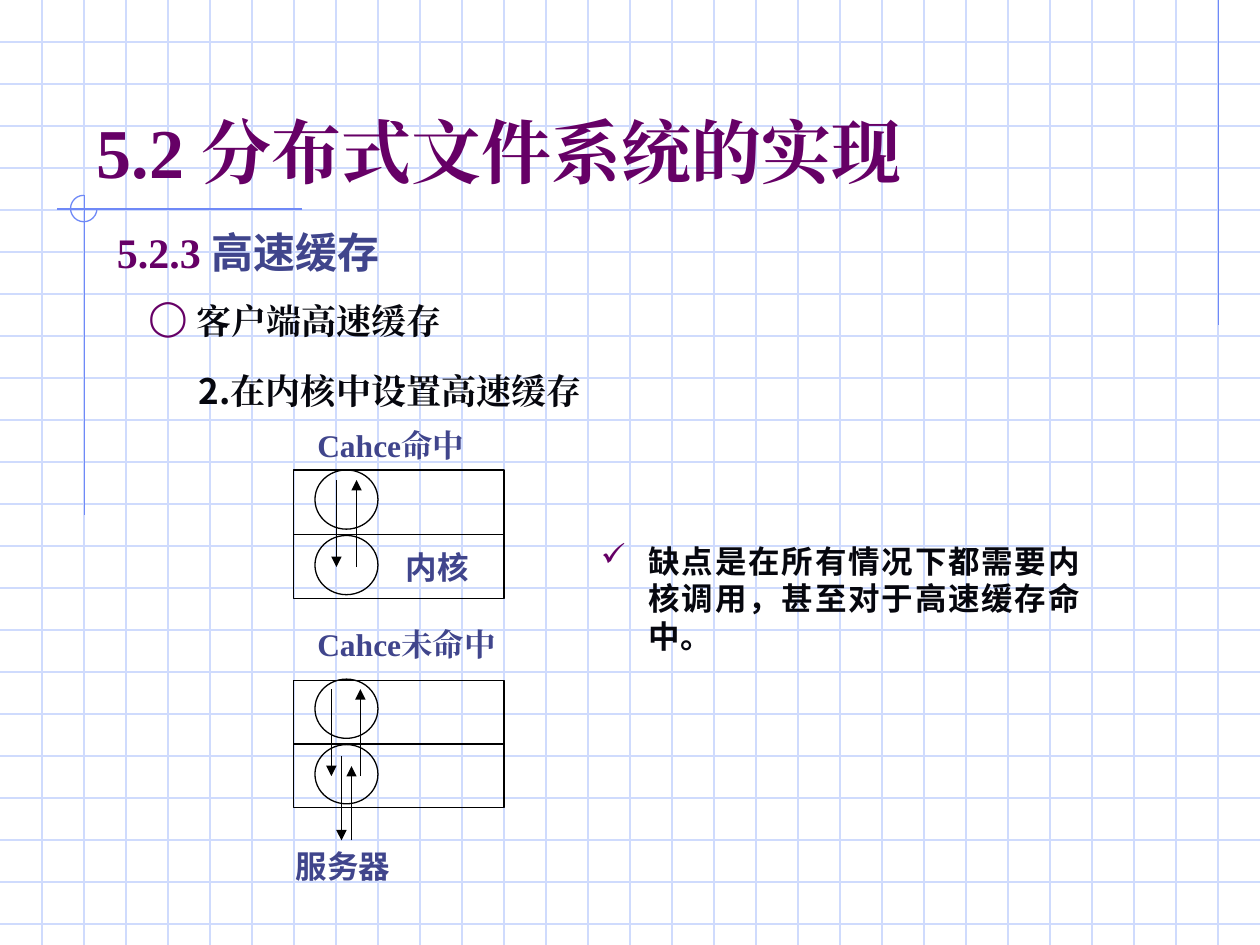
from dataclasses import dataclass
from typing import Any

from lxml import etree
from pptx import Presentation
from pptx import util as u
from pptx.dml.color import RGBColor
from pptx.enum import shapes, text
from pptx.oxml import ns

PURPLE = RGBColor(0x66, 0x00, 0x66)
INDIGO = RGBColor(0x40, 0x45, 0x8C)
INK = RGBColor(0x06, 0x07, 0x0E)
BLACK = RGBColor(0x00, 0x00, 0x00)
GRID = RGBColor(0xCF, 0xDB, 0xFD)
ACCENT = RGBColor(0x6F, 0x89, 0xF7)
SERIF, SANS, CJK = "Times New Roman", "Montserrat", "Noto Sans CJK SC"
JUSTIFY = text.PP_ALIGN.JUSTIFY


def add_run(paragraph, wording, size=18, font=SANS, color=INDIGO, bold=True):
    run = paragraph.add_run()
    run.text = wording
    run.font.size = u.Pt(size)
    run.font.name = font
    run.font.bold = bold
    run.font.color.rgb = color
    east_asian = etree.SubElement(run.font._element, ns.qn("a:ea"))
    east_asian.set("typeface", SERIF if font == CJK else font)


@dataclass
class Board:
    slide: Any
    weight: float = 0.75
    hanging: float = 0.38

    def line(self, x1, y1, x2, y2, color=BLACK, arrow=False):
        stroke = self.slide.shapes.add_connector(
            shapes.MSO_CONNECTOR.STRAIGHT,
            u.Inches(x1), u.Inches(y1), u.Inches(x2), u.Inches(y2))
        stroke.line.color.rgb = color
        stroke.line.width = u.Pt(self.weight)
        if arrow:
            head = etree.SubElement(stroke.line._get_or_add_ln(), ns.qn("a:tailEnd"))
            head.set("type", "triangle")
        etree.SubElement(stroke._element.spPr, ns.qn("a:effectLst"))

    def outline(self, preset, left, top, width, height, color=BLACK):
        figure = self.slide.shapes.add_shape(
            preset, u.Inches(left), u.Inches(top), u.Inches(width), u.Inches(height))
        figure.shadow.inherit = False
        figure.fill.background()
        figure.line.color.rgb = color
        figure.line.width = u.Pt(self.weight)
        return figure

    def label(self, left, top, width, height, *runs, bullet=None, align=None,
              anchor=text.MSO_ANCHOR.TOP):
        frame = self.slide.shapes.add_textbox(
            u.Inches(left), u.Inches(top), u.Inches(width), u.Inches(height)).text_frame
        frame.word_wrap = True
        frame.vertical_anchor = anchor
        paragraph = frame.paragraphs[0]
        paragraph.alignment = align
        if bullet:
            self.bullet(paragraph, bullet)
        for wording, style in runs:
            add_run(paragraph, wording, **style)

    def bullet(self, paragraph, mark):
        props = paragraph._p.get_or_add_pPr()
        props.set("marL", str(u.Inches(self.hanging)))
        props.set("indent", str(-u.Inches(self.hanging)))
        tint = etree.SubElement(props, ns.qn("a:buClr"))
        etree.SubElement(tint, ns.qn("a:srgbClr")).set("val", str(PURPLE))
        etree.SubElement(props, ns.qn("a:buChar")).set("char", mark)

    def cache_panel(self, levels, circle_tops, arrows):
        layers = [self.outline(shapes.MSO_SHAPE.RECTANGLE, 2.33, top, 1.67, 0.51)
                  for top in levels]
        for top in circle_tops:
            self.outline(shapes.MSO_SHAPE.OVAL, 2.5, top, 0.5, 0.47)
        for x, start, end in arrows:
            self.line(x, start, x, end, arrow=True)
        return layers

    def backdrop(self):
        for row in range(1, 23):
            self.line(0, row / 3, 10, row / 3, GRID)
        for column in range(1, 30):
            self.line(column / 3, 0, column / 3, 7.5, GRID)
        for ends in ((9.67, 0, 9.67, 2.58), (2.4, 1.66, 0.45, 1.66),
                     (0.67, 1.55, 0.67, 4.09)):
            self.line(*ends, ACCENT)
        hook = self.outline(shapes.MSO_SHAPE.ARC, 0.56, 1.55, 0.21, 0.21, ACCENT)
        hook.adjustments[0] = 0
        hook.adjustments[1] = 162


def main():
    deck = Presentation()
    deck.slide_width, deck.slide_height = u.Inches(10), u.Inches(7.5)
    board = Board(deck.slides.add_slide(deck.slide_layouts[6]))
    board.backdrop()

    board.label(0.67, 0.33, 8.5, 1.25,
                ("5.2 ", dict(size=40, font=SERIF, color=PURPLE)),
                ("分布式文件系统的实现", dict(size=40, font=CJK, color=PURPLE)),
                anchor=text.MSO_ANCHOR.BOTTOM)
    board.label(0.83, 1.75, 8.75, 0.5,
                ("5.2.3 ", dict(size=24, font=SERIF, color=PURPLE)),
                ("高速缓存", dict(size=24)), align=JUSTIFY)
    board.label(1.08, 2.33, 8.25, 0.44,
                ("客户端高速缓存", dict(size=20, font=SERIF, color=INK)),
                bullet="◯", align=JUSTIFY)
    board.label(1.48, 2.88, 7.77, 0.44,
                ("2.在内核中设置高速缓存", dict(size=20, font=CJK, color=INK)),
                align=JUSTIFY)
    board.label(4.67, 4.25, 4, 1,
                ("缺点是在所有情况下都需要内核调用，甚至对于高速缓存命中。", dict(color=INK)),
                bullet="✓", align=JUSTIFY)

    _, kernel = board.cache_panel(
        (3.73, 4.24), (3.73, 4.25), ((2.67, 3.81, 4.5), (2.83, 4.5, 3.81)))
    kernel.text_frame.margin_left = u.Inches(0.71)
    kernel.text_frame.vertical_anchor = text.MSO_ANCHOR.MIDDLE
    kernel_name = kernel.text_frame.paragraphs[0]
    kernel_name.alignment = text.PP_ALIGN.CENTER
    add_run(kernel_name, "内核")

    board.cache_panel(
        (5.4, 5.9), (5.39, 5.91),
        ((2.63, 5.47, 6.16), (2.86, 6.16, 5.47), (2.71, 6, 6.67), (2.79, 6.67, 6.08)))

    board.label(2.42, 3.33, 1.83, 0.4, ("Cahce命中", dict(font=SERIF)))
    board.label(2.42, 4.91, 1.83, 0.4, ("Cahce未命中", dict(font=SERIF)))
    board.label(2.25, 6.67, 1.58, 0.4, ("服务器", {}))
    deck.save("out.pptx")


if __name__ == "__main__":
    main()
